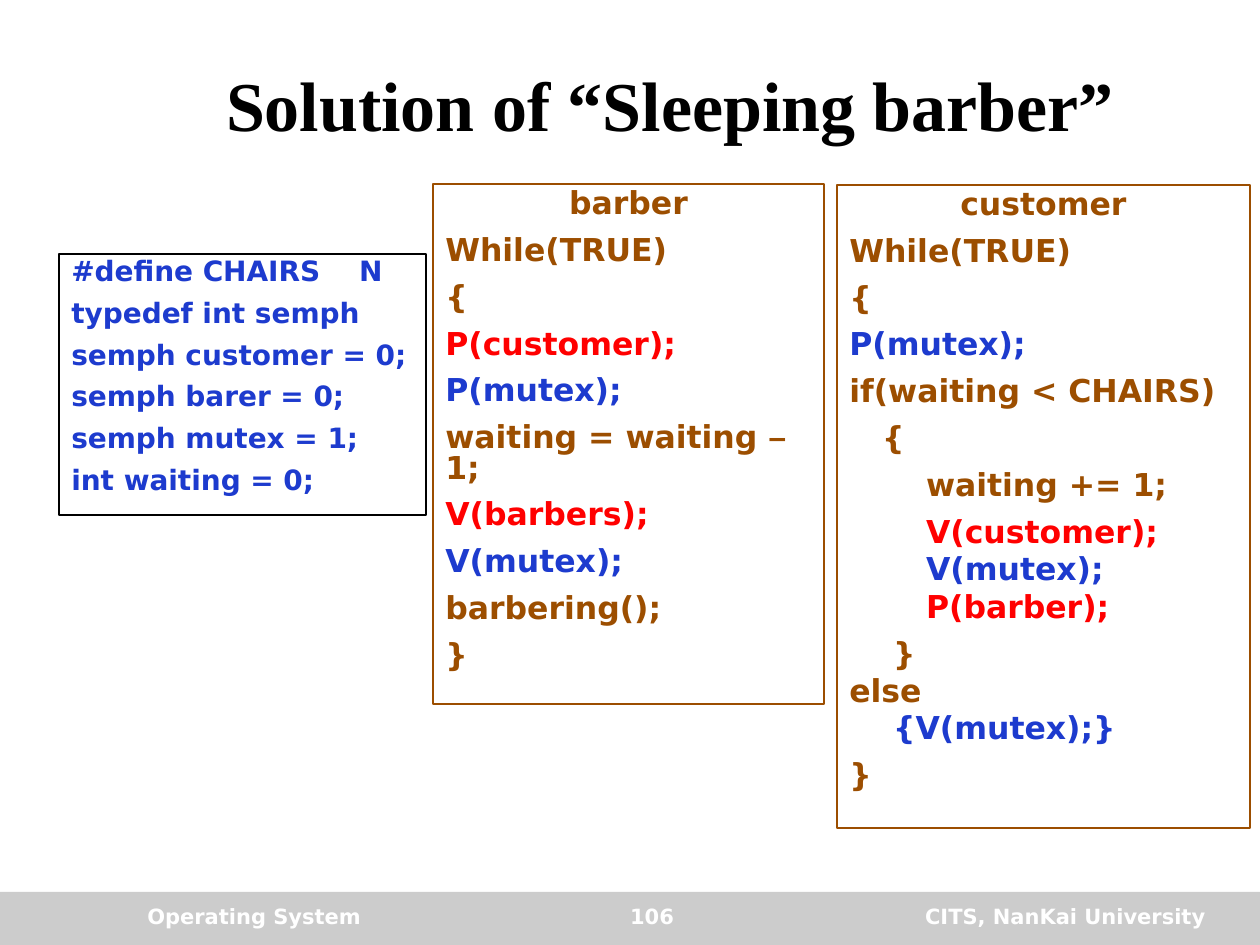
"""Build the slide that solves the sleeping barber problem with semaphores."""
from pptx import Presentation
from pptx.dml.color import RGBColor
from pptx.enum.shapes import MSO_SHAPE
from pptx.enum.text import MSO_ANCHOR, PP_ALIGN
from pptx.util import Pt

COLOURS = {"black": "000000", "white": "FFFFFF", "grey": "CCCCCC",
           "blue": "1D3BCE", "brown": "9C4E00", "red": "FF0000"}
SANS, SERIF, DASH_FONT = "DejaVu Sans", "Times New Roman", "Arial"
EMU_PER_PX = 914400 / 126
LINE_SPACING = 0.8
WIDE, TIGHT = 0.53, 0.23

TITLE = "Solution of “Sleeping barber”"
TITLE_AREA = (134, 42, 1072, 123)
FOOTER_BAR = (0, 892, 1260, 53)
FOOTERS = [
    ("Operating System", (135, 897, 346, 42), PP_ALIGN.LEFT),
    ("106", (505, 897, 294, 42), PP_ALIGN.CENTER),
    ("CITS, NanKai University", (819, 897, 399, 42), PP_ALIGN.RIGHT),
]

DECLARATIONS = [
    ("#define CHAIRS    N", "blue", WIDE),
    ("typedef int semph", "blue", WIDE),
    ("semph customer = 0;", "blue", WIDE),
    ("semph barer = 0;", "blue", WIDE),
    ("semph mutex = 1;", "blue", WIDE),
    ("int waiting = 0;", "blue", WIDE),
]
BARBER = [
    ("While(TRUE)", "brown", WIDE),
    ("{", "brown", WIDE),
    ("P(customer);", "red", WIDE),
    ("P(mutex);", "blue", WIDE),
    ("waiting = waiting – 1;", "brown", WIDE),
    ("V(barbers);", "red", WIDE),
    ("V(mutex);", "blue", WIDE),
    ("barbering();", "brown", WIDE),
    ("}", "brown", WIDE),
]
CUSTOMER = [
    ("While(TRUE)", "brown", WIDE),
    ("{", "brown", WIDE),
    ("P(mutex);", "blue", WIDE),
    ("if(waiting < CHAIRS)", "brown", WIDE),
    ("   {", "brown", WIDE),
    ("       waiting += 1;", "brown", WIDE),
    ("       V(customer);", "red", WIDE),
    ("       V(mutex);", "blue", TIGHT),
    ("       P(barber);", "red", TIGHT),
    ("    }", "brown", WIDE),
    ("else", "brown", TIGHT),
    ("    {V(mutex);}", "blue", TIGHT),
    ("}", "brown", WIDE),
]
PANELS = [
    {"area": (59, 254, 367, 261), "heading": None, "lines": DECLARATIONS,
     "size": 16, "fill": "white", "line": "black"},
    {"area": (433, 184, 391, 520), "heading": "barber", "lines": BARBER,
     "size": 18, "fill": None, "line": "brown"},
    {"area": (837, 185, 413, 643), "heading": "customer", "lines": CUSTOMER,
     "size": 18, "fill": None, "line": "brown"},
]


def emu(area):
    return [round(length * EMU_PER_PX) for length in area]


def colour(name):
    return RGBColor.from_string(COLOURS[name])


def add_span(para, text, size, tint, font=SANS):
    span = para.add_run()
    span.text = text
    span.font.size = Pt(size)
    span.font.name = font
    span.font.bold = True
    span.font.color.rgb = colour(tint)


def add_rectangle(page, area, fill, line):
    box = page.shapes.add_shape(MSO_SHAPE.RECTANGLE, *emu(area))
    box.shadow.inherit = False
    if fill:
        box.fill.solid()
        box.fill.fore_color.rgb = colour(fill)
    else:
        box.fill.background()
    if line:
        box.line.color.rgb = colour(line)
        box.line.width = Pt(0.75)
    else:
        box.line.fill.background()
    return box


def add_title(page):
    title = page.shapes.title
    title.left, title.top, title.width, title.height = emu(TITLE_AREA)
    frame = title.text_frame
    frame.vertical_anchor = MSO_ANCHOR.MIDDLE
    para = frame.paragraphs[0]
    para.alignment = PP_ALIGN.CENTER
    add_span(para, TITLE, 40, "black", SERIF)


def add_footer(page, text, area, alignment):
    frame = page.shapes.add_textbox(*emu(area)).text_frame
    frame.word_wrap = True
    para = frame.paragraphs[0]
    para.alignment = alignment
    add_span(para, text, 12, "white")


def add_panel(page, panel):
    box = add_rectangle(page, panel["area"], panel["fill"], panel["line"])
    frame = box.text_frame
    frame.word_wrap = True
    frame.vertical_anchor = MSO_ANCHOR.TOP
    heading, size = panel["heading"], panel["size"]
    lines = ([(heading, "brown", WIDE)] if heading else []) + panel["lines"]
    for index, (text, tint, gap) in enumerate(lines):
        para = frame.add_paragraph() if index else frame.paragraphs[0]
        is_heading = heading and index == 0
        para.alignment = PP_ALIGN.CENTER if is_heading else PP_ALIGN.LEFT
        para.line_spacing = LINE_SPACING
        para.space_before = Pt(round(gap * size, 1) if index else 0)
        before, dash, after = text.partition("–")
        for part, font in ((before, SANS), (dash, DASH_FONT), (after, SANS)):
            if part:
                add_span(para, part, size, tint, font)


def main():
    deck = Presentation()
    deck.slide_width, deck.slide_height = emu((1260, 945))
    page = deck.slides.add_slide(deck.slide_layouts[5])
    add_rectangle(page, FOOTER_BAR, "grey", None)
    add_title(page)
    for footer in FOOTERS:
        add_footer(page, *footer)
    for panel in PANELS:
        add_panel(page, panel)
    deck.save("out.pptx")


if __name__ == "__main__":
    main()
